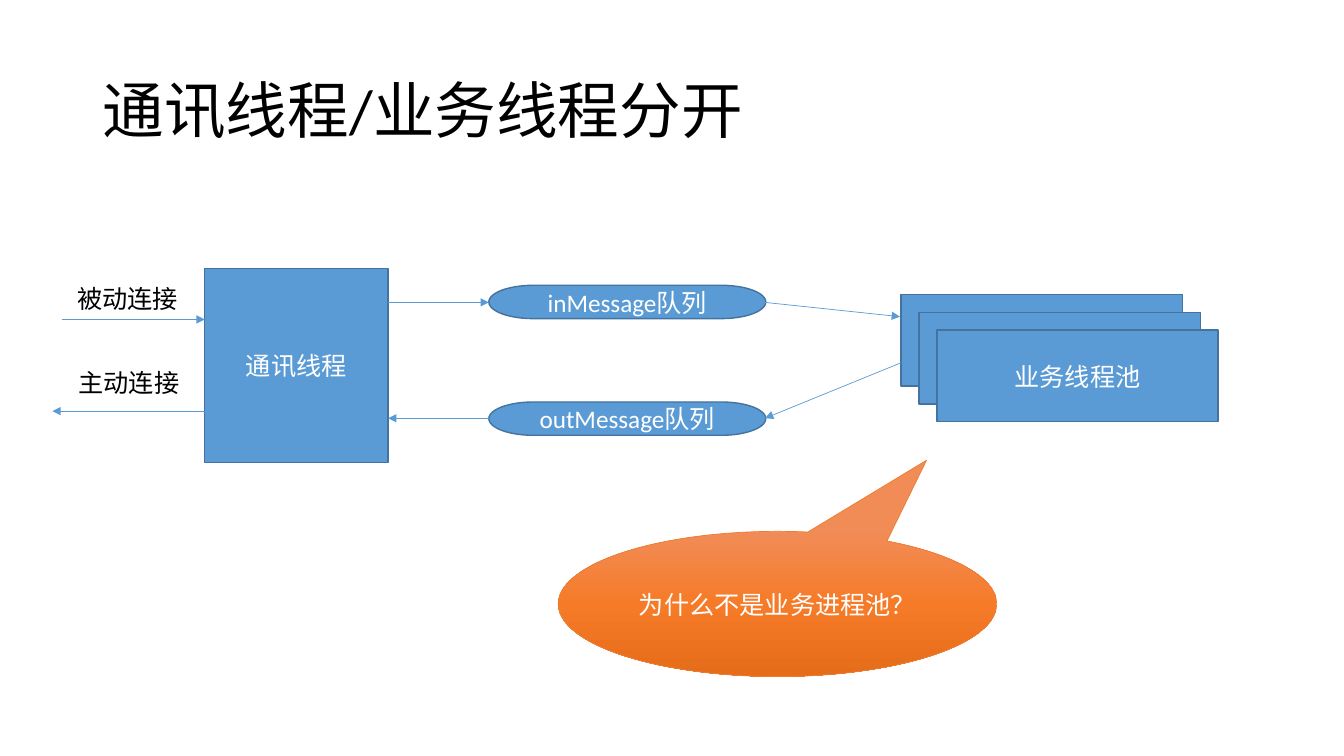
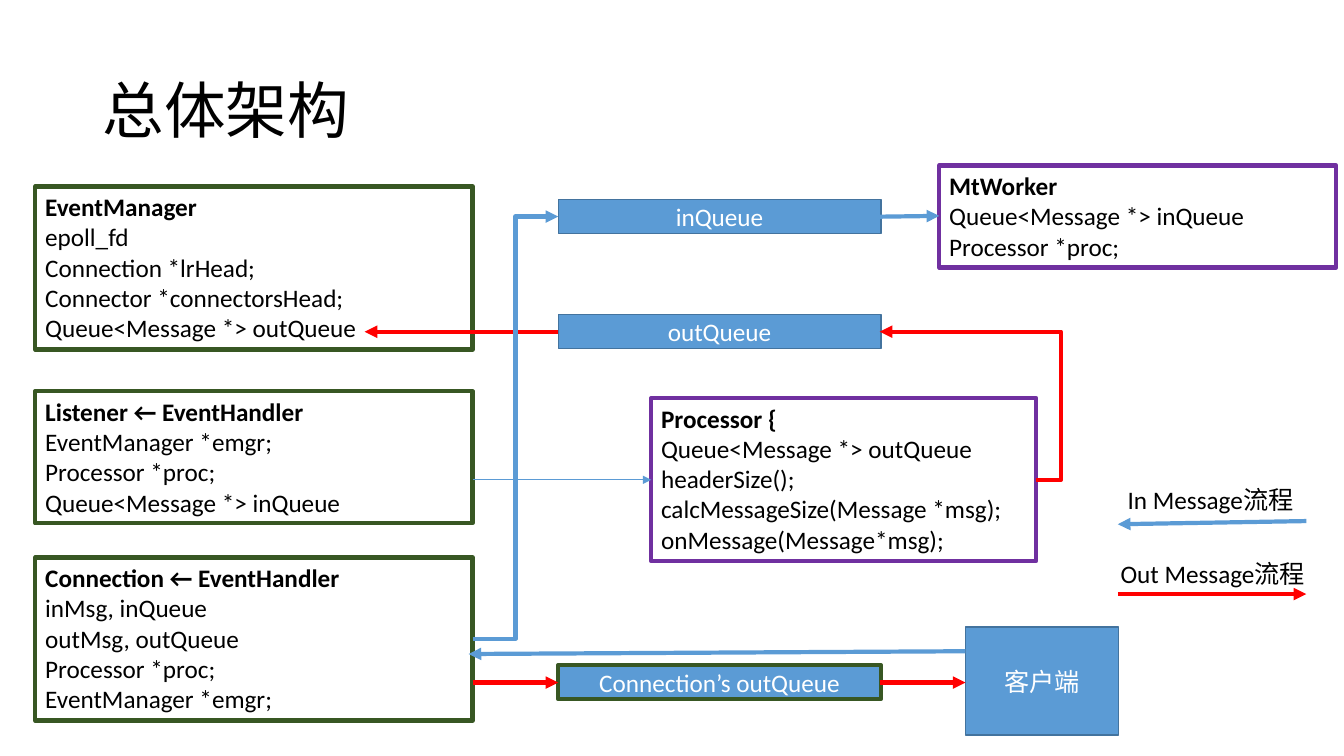
from copy import deepcopy

from lxml.etree import SubElement
from pptx import Presentation
from pptx.dml.color import RGBColor
from pptx.enum.shapes import MSO_CONNECTOR, MSO_SHAPE
from pptx.enum.text import MSO_ANCHOR, PP_ALIGN
from pptx.oxml.ns import qn
from pptx.util import Cm, Pt

# Shared style
COLORS = {
    "black": "000000", "white": "FFFFFF", "blue": "5B9BD5", "blue edge": "43739E",
    "green": "385723", "purple": "7030A0", "red": "FF0000", "orange": "ED7D31",
    "orange top": "F18C57", "orange middle": "F67B28", "orange bottom": "E56C19",
}
COLORS = {name: RGBColor.from_string(value) for name, value in COLORS.items()}
FONT = "Calibri"
TITLE_AREA = (2.34, 1.02, 29.21, 3.68)
THIN, THICK = 0.5, 3


def add_box(page, area, text="", kind=MSO_SHAPE.RECTANGLE, fill="blue", line="blue edge",
            weight=1, color="white", size=18, align=PP_ALIGN.CENTER,
            anchor=MSO_ANCHOR.MIDDLE, bold_head=False, wrap=True, spacing=1.0):
    """Add a shape, or a plain text box when kind is None."""
    place = [Cm(length) for length in area]
    if kind is None:
        box = page.shapes.add_textbox(*place)
    else:
        box = page.shapes.add_shape(kind, *place)
        box.shadow.inherit = False
        box.fill.solid()
        box.fill.fore_color.rgb = COLORS[fill]
        box.line.color.rgb = COLORS[line]
        box.line.width = Pt(weight)
    frame = box.text_frame
    frame.word_wrap = wrap
    frame.vertical_anchor = anchor
    for index, words in enumerate(text.split("\n")):
        para = frame.add_paragraph() if index else frame.paragraphs[0]
        para.alignment = align
        para.line_spacing = spacing
        span = para.add_run()
        span.text = words
        span.font.name = FONT
        span.font.size = Pt(size)
        span.font.bold = bold_head and index == 0
        span.font.color.rgb = COLORS[color]
    return box


def add_arrow(page, start, end, color="blue", weight=THIN, bend=None):
    """Add an arrow; bend is the share of its width where an elbow turns."""
    kind = MSO_CONNECTOR.STRAIGHT if bend is None else MSO_CONNECTOR.ELBOW
    arrow = page.shapes.add_connector(kind, *[Cm(length) for length in start + end])
    arrow.line.color.rgb = COLORS[color]
    arrow.line.width = Pt(weight)
    properties = arrow.element.spPr
    SubElement(properties.find(qn("a:ln")), qn("a:tailEnd"), type="triangle")
    SubElement(properties, qn("a:effectLst"))
    if bend is not None:
        geometry = properties.find(qn("a:prstGeom"))
        guides = geometry.find(qn("a:avLst"))
        if guides is None:
            guides = SubElement(geometry, qn("a:avLst"))
        SubElement(guides, qn("a:gd"), name="adj1", fmla=f"val {round(bend * 100000)}")


deck = Presentation()
deck.slide_width, deck.slide_height = Cm(33.87), Cm(19.05)
label = dict(kind=None, color="black", align=PP_ALIGN.LEFT, anchor=MSO_ANCHOR.TOP)

# Pages with titles
pages = []
for title in ("通讯线程/业务线程分开", "总体架构"):
    page = deck.slides.add_slide(deck.slide_layouts[6])
    add_box(page, TITLE_AREA, title, kind=None, color="black", size=44,
            align=PP_ALIGN.LEFT, spacing=0.9)
    pages.append(page)
threads, architecture = pages

# Threads: communication thread and stacked worker pool
add_box(threads, (5.16, 6.76, 4.62, 4.9), "通讯线程")
for layer, text in enumerate(("", "", "业务线程池")):
    add_box(threads, (22.71 + 0.45 * layer, 7.42 + 0.45 * layer, 7.09, 2.31), text)

# Threads: connection labels and message queues
for left, top, text in ((1.7, 7.01, "被动连接"), (1.73, 9.14, "主动连接")):
    add_box(threads, (left, top, 3.07, 1.02), text, wrap=False, **label)
for top, text in ((7.19, "inMessage队列"), (10.13, "outMessage队列")):
    add_box(threads, (12.32, top, 6.98, 0.84), text, kind=MSO_SHAPE.FLOWCHART_TERMINATOR)

# Threads: arrows
for start, end in (
    ((1.55, 8.05), (5.16, 8.05)),
    ((5.16, 10.36), (1.32, 10.36)),
    ((9.78, 7.62), (12.32, 7.62)),
    ((19.28, 7.62), (22.68, 7.98)),
    ((22.71, 9.14), (19.28, 10.54)),
    ((12.32, 10.54), (9.78, 10.54)),
):
    add_arrow(threads, start, end)

# Threads: question callout with gradient
callout = add_box(threads, (14.07, 13.39, 11.05, 3.66), "为什么不是业务进程池？",
                  kind=MSO_SHAPE.OVAL_CALLOUT, line="orange", weight=THIN)
callout.adjustments[0], callout.adjustments[1] = 0.34, -0.99
callout.fill.gradient()
callout.fill.gradient_angle = 270
stop_list = callout.element.spPr.find(".//" + qn("a:gsLst"))
stop_list.insert(1, deepcopy(stop_list[0]))
for index, (stop, part) in enumerate(zip(callout.fill.gradient_stops, ("top", "middle", "bottom"))):
    stop.position = index / 2
    stop.color.rgb = COLORS[f"orange {part}"]

# Architecture: classes
for area, line, text in (
    ((0.89, 4.7, 11.02, 4.11), "green",
     "EventManager\nepoll_fd\nConnection *lrHead;\nConnector *connectorsHead;\n"
     "Queue<Message *> outQueue"),
    ((0.89, 9.86, 11.02, 3.33), "green",
     "Listener ← EventHandler\nEventManager *emgr;\nProcessor *proc;\n"
     "Queue<Message *> inQueue"),
    ((0.89, 14.05, 11.02, 4.11), "green",
     "Connection ← EventHandler\ninMsg, inQueue\noutMsg, outQueue\nProcessor *proc;\n"
     "EventManager *emgr;"),
    ((23.67, 4.17, 10.01, 2.57), "purple",
     "MtWorker\nQueue<Message *> inQueue\nProcessor *proc;"),
    ((16.41, 10.03, 9.7, 4.11), "purple",
     "Processor {\nQueue<Message *> outQueue\nheaderSize();\n"
     "calcMessageSize(Message *msg);\nonMessage(Message*msg);"),
):
    add_box(architecture, area, text, fill="white", line=line, weight=THICK, color="black",
            align=PP_ALIGN.LEFT, anchor=MSO_ANCHOR.TOP, bold_head=True)

# Architecture: queues and client
for top, text, line, weight in (
    (5.03, "inQueue", "blue edge", 1),
    (7.92, "outQueue", "blue edge", 1),
    (16.76, "Connection’s outQueue", "green", THICK),
):
    add_box(architecture, (14.07, top, 8.13, 0.86), text, line=line, weight=weight)
add_box(architecture, (24.33, 15.8, 3.86, 2.72), "客户端")

# Architecture: message flow, with the legend arrows last
for start, end, color, weight, bend in (
    ((22.17, 5.46), (23.67, 5.44), "blue", THICK, None),
    ((14.07, 8.36), (9.19, 8.36), "red", THICK, None),
    ((11.91, 16.1), (14.07, 5.46), "blue", THICK, 0.5),
    ((11.91, 12.09), (16.41, 12.09), "blue", THIN, None),
    ((26.11, 12.09), (22.17, 8.36), "red", THICK, -0.16),
    ((11.91, 17.2), (14.07, 17.2), "red", THICK, None),
    ((22.17, 17.2), (24.33, 17.2), "red", THICK, None),
    ((24.33, 16.41), (11.81, 16.48), "blue", THICK, None),
    ((32.92, 13.13), (28.17, 13.21), "blue", THICK, None),
    ((28.17, 14.97), (32.92, 14.97), "red", THICK, None),
):
    add_arrow(architecture, start, end, color, weight, bend)

# Architecture: legend labels
for area, text in (
    ((28.17, 12.09, 5.08, 1.02), "In Message流程"),
    ((27.99, 13.94, 5.69, 1.02), "Out Message流程"),
):
    add_box(architecture, area, text, **label)

deck.save("out.pptx")
